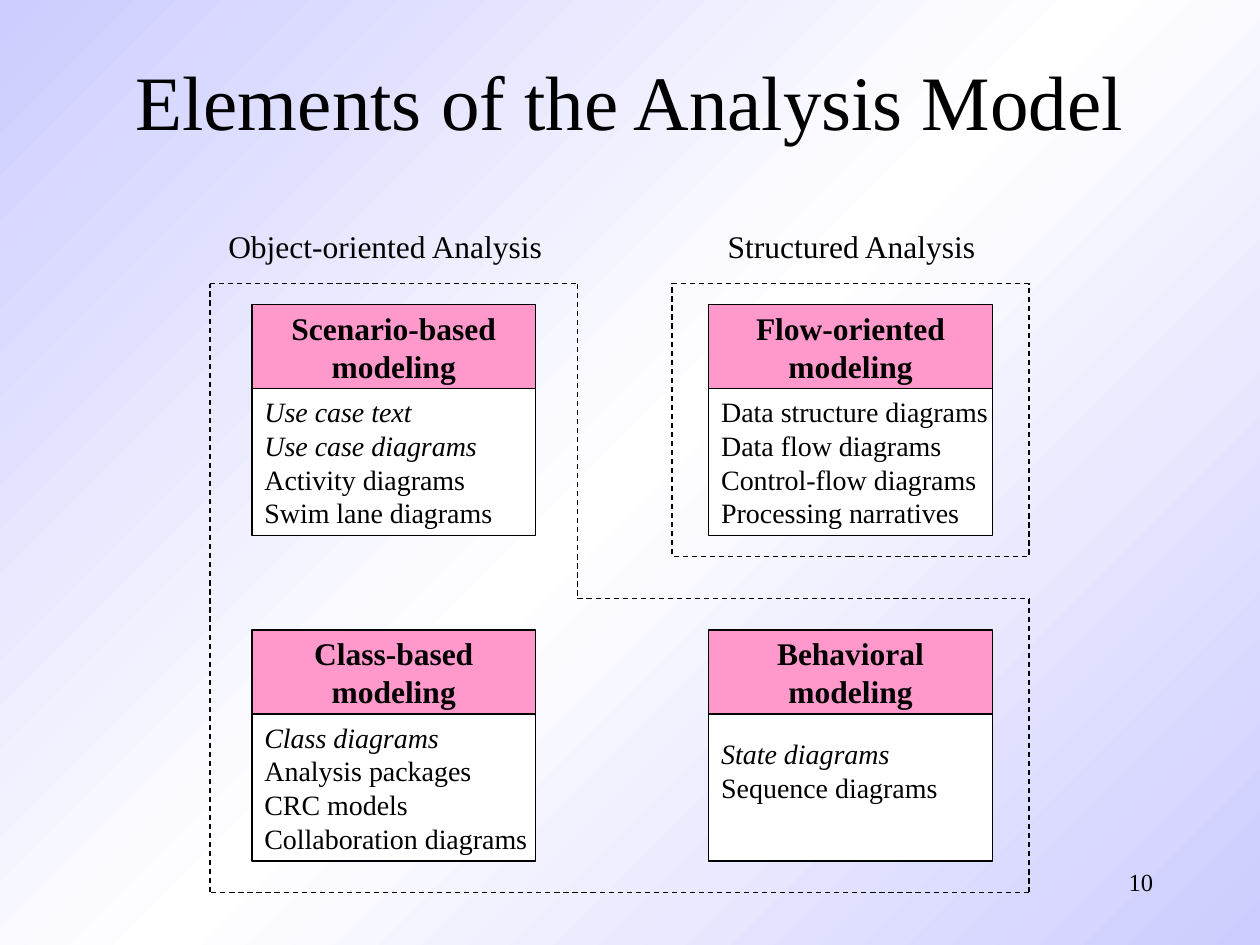
from copy import deepcopy
from itertools import pairwise
from lxml import etree
from pptx import Presentation
from pptx.dml.color import RGBColor
from pptx.enum.dml import MSO_LINE
from pptx.enum.shapes import MSO_CONNECTOR, MSO_SHAPE
from pptx.enum.text import MSO_ANCHOR, PP_ALIGN
from pptx.oxml.ns import qn
from pptx.util import Inches, Pt

LEFT, MID, RIGHT = PP_ALIGN.LEFT, PP_ALIGN.CENTER, PP_ALIGN.RIGHT
TOP, CENTER = MSO_ANCHOR.TOP, MSO_ANCHOR.MIDDLE
RECT, LINE, DASH = MSO_SHAPE.RECTANGLE, MSO_CONNECTOR.STRAIGHT, MSO_LINE.DASH
FONT, BLACK, WHITE, PINK, BLUE = "Times New Roman", "000000", "FFFFFF", "FF99CC", "CCCCFF"

CARDS = [
    (24, 29, "Scenario-based", ["Use case text", "Use case diagrams",
                                "Activity diagrams", "Swim lane diagrams"], 2),
    (24, 60, "Class-based", ["Class diagrams", "Analysis packages",
                             "CRC models", "Collaboration diagrams"], 1),
    (67.5, 29, "Flow-oriented", ["Data structure diagrams", "Data flow diagrams",
                                 "Control-flow diagrams", "Processing narratives"], 0),
    (67.5, 60, "Behavioral", ["State diagrams", "Sequence diagrams"], 1),
]
BORDER = [(20, 27), (55, 27), (55, 57), (98, 57), (98, 85), (20, 85), (20, 27)]


def grid(*cells):
    """Turn grid cells of a twelfth of an inch into lengths."""
    return [Inches(cell / 12) for cell in cells]


def color(code):
    """Return the colour of a hex string."""
    return RGBColor.from_string(code)


def write(shape, lines, size=18, bold=False, slant=0, align=MID, anchor=TOP, wrap=False, base=0.05):
    """Write lines into a shape, the first few of them in italics."""
    frame = shape.text_frame
    frame.word_wrap, frame.vertical_anchor = wrap, anchor
    frame.margin_left = frame.margin_right = Inches(0.1)
    frame.margin_top, frame.margin_bottom = Inches(0.05), Inches(base)
    frame.text = "\n".join(lines)
    for rank, para in enumerate(frame.paragraphs):
        para.alignment = align
        font = para.runs[0].font
        font.name, font.size, font.bold, font.italic = FONT, Pt(size), bold, rank < slant
        font.color.rgb = color(BLACK)


def stroke(item, dash=None):
    """Draw a thin black line on an item."""
    item.line.color.rgb = color(BLACK)
    item.line.width = Pt(0.75)
    if dash:
        item.line.dash_style = dash


def box(shapes, place, fill=None, dash=None):
    """Add a rectangle with or without a fill."""
    shape = shapes.add_shape(RECT, *grid(*place))
    shape.shadow.inherit = False
    if fill:
        shape.fill.solid()
        shape.fill.fore_color.rgb = color(fill)
    else:
        shape.fill.background()
    stroke(shape, dash)
    return shape


def label(slide, place, words, **form):
    """Add a text box."""
    write(slide.shapes.add_textbox(*grid(*place)), [words], **form)


def card(slide, left, top, name, items, slant):
    """Add a group of a pink head over a white list."""
    shapes = slide.shapes.add_group_shape().shapes
    base = 0.05 if len(items) > 2 else 0.32
    body = box(shapes, (left, top + 8, 27, 14), WHITE)
    write(body, items, size=16, slant=slant, align=LEFT, anchor=CENTER, base=base)
    head = box(shapes, (left, top, 27, 8), PINK)
    write(head, [name, "modeling"], bold=True, anchor=CENTER)


def edge(slide, start, end):
    """Add a dashed line between two points of the grid."""
    line = slide.shapes.add_connector(LINE, *grid(*start, *end))
    stroke(line, DASH)
    etree.SubElement(line._element.spPr, qn("a:effectLst"))


def shade(slide):
    """Fill the background with a slanted three-stop gradient."""
    fill = slide.background.fill
    fill.gradient()
    fill.gradient_angle = 315
    stops = slide.element.find(".//" + qn("a:gsLst"))
    stops.insert(1, deepcopy(stops[0]))
    for stop, code, share in zip(fill.gradient_stops, (BLUE, WHITE, BLUE), (0, 0.5, 1)):
        stop.color.rgb = color(code)
        stop.position = share


def main():
    """Build the slide and save it."""
    deck = Presentation()
    deck.slide_width, deck.slide_height = Inches(10), Inches(7.5)
    slide = deck.slides.add_slide(deck.slide_layouts[5])
    shade(slide)
    title = slide.shapes.title
    title.left, title.top, title.width, title.height = grid(9, 2, 102, 15)
    write(title, ["Elements of the Analysis Model"], size=44, anchor=CENTER, wrap=True)
    label(slide, (86, 82, 25, 6), "10", size=14, align=RIGHT, wrap=True)
    for entry in CARDS:
        card(slide, *entry)
    box(slide.shapes, (64, 27, 34, 26), dash=DASH)
    label(slide, (68, 21, 26.2, 4.8), "Structured Analysis")
    for start, end in pairwise(BORDER):
        edge(slide, start, end)
    label(slide, (20.5, 21, 32.4, 4.8), "Object-oriented Analysis")
    deck.save("out.pptx")


if __name__ == "__main__":
    main()
